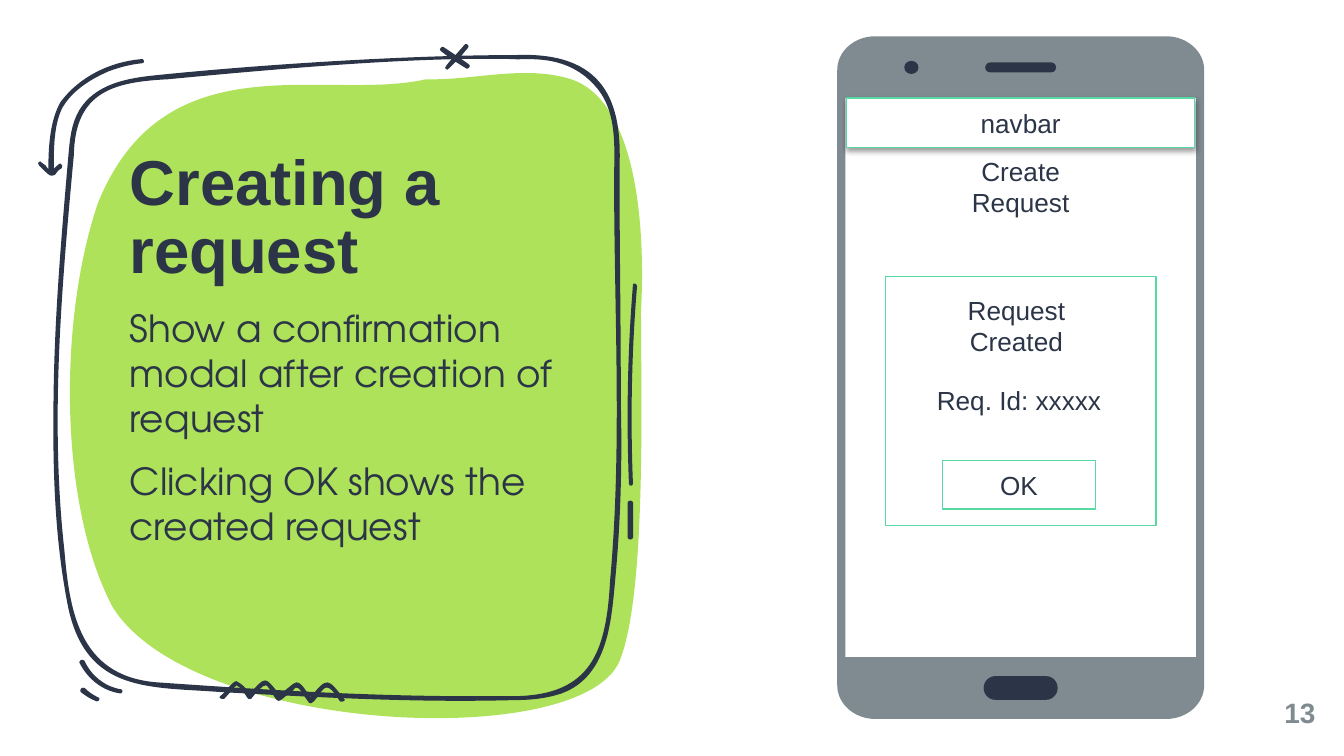
from lxml import etree
from pptx import Presentation
from pptx.dml.color import RGBColor
from pptx.enum.shapes import MSO_SHAPE as SHAPE
from pptx.enum.text import MSO_ANCHOR as ANCHOR, PP_ALIGN as ALIGN
from pptx.oxml import parse_xml
from pptx.util import Cm, Pt

INK, LIME, GREY, MINT, WHITE = "2B3547", "AEE25A", "7F8B91", "58D9A4", "FFFFFF"
NS = "http://schemas.openxmlformats.org/drawingml/2006/main"
INCH = 2.54  # outlines are given in inches
STEPS = 20   # samples per curve, for its bounds


def trace(shapes, outline, color):
    """Fill an outline: '|' parts contours, ',' parts points (2 numbers) and curves (6)."""
    contours = [[[Cm(float(n) * INCH) for n in part.split()] for part in contour.split(",")]
                for contour in outline.split("|")]
    # Points on the outline give the shape its exact bounds
    reach = []
    for contour in contours:
        for segment in contour:
            if len(segment) == 2:
                reach.append(segment)
                continue
            (x0, y0), (x1, y1, x2, y2, x3, y3) = reach[-1], segment
            for step in range(1, STEPS + 1):
                t = step / STEPS
                a, b, c, d = (1 - t) ** 3, 3 * t * (1 - t) ** 2, 3 * t * t * (1 - t), t ** 3
                reach.append([a * x0 + b * x1 + c * x2 + d * x3,
                              a * y0 + b * y1 + c * y2 + d * y3])
    builder = shapes.build_freeform(*reach[0], scale=1.0)
    builder.add_line_segments(reach[1:], close=True)
    shape = builder.convert_to_shape()
    # True curves replace the sampled points
    route = next(shape.element.iter(f"{{{NS}}}path"))
    for child in list(route):
        route.remove(child)
    for contour in contours:
        for number, segment in enumerate(contour):
            kind = "cubicBezTo" if len(segment) == 6 else "lnTo" if number else "moveTo"
            command = etree.SubElement(route, f"{{{NS}}}{kind}")
            for x, y in zip(segment[::2], segment[1::2]):
                etree.SubElement(command, f"{{{NS}}}pt",
                                 x=str(x - shape.left), y=str(y - shape.top))
        etree.SubElement(route, f"{{{NS}}}close")
    paint(shape, color)


def paint(item, color, size=None, bold=None):
    """Colour a run when a size is given, otherwise fill a shape plainly."""
    if size:
        item.font.name, item.font.size, item.font.bold = "Arial", Pt(size), bold
        item.font.color.rgb = RGBColor.from_string(color)
    else:
        item.shadow.inherit = False
        item.fill.solid()
        item.fill.fore_color.rgb = RGBColor.from_string(color)
        item.line.fill.background()


deck = Presentation()
deck.slide_width, deck.slide_height = Cm(25.4), Cm(14.29)
slide = deck.slides.add_slide(deck.slide_layouts[1])

# Green blob
trace(slide.shapes, "0.84 4.52, 1.43 5.46 4.32 5.6 4.61 4.92, 4.81 4.43 4.77 2.99 4.77 2.32,"
      "4.81 1.56 4.7 0.74 4.25 0.59, 3.9 0.48 3.53 0.6 3.17 0.59,"
      "2.43 0.76 1.23 0.28 0.73 1.51, 0.43 2.39 0.44 3.77 0.84 4.52", LIME)

# Hand-drawn frame and scribbles
frame = (
    "4.62 3, 4.62 2.41 4.61 1.82 4.61 1.24, 4.63 0.76 4.5 0.38 3.83 0.41,"
    "3.04 0.41 1.94 0.48 1.16 0.56, 0.96 0.58 0.71 0.62 0.59 0.82,"
    "0.53 0.92 0.52 1.04 0.51 1.15, 0.46 1.73 0.41 2.3 0.4 2.88,"
    "0.39 3.43 0.4 3.99 0.51 4.53, 0.65 5.16 1.12 5.11 1.64 5.15,"
    "2.37 5.19 3.1 5.23 3.83 5.21, 3.94 5.21 4.06 5.2 4.18 5.16,"
    "4.53 5.03 4.55 4.61 4.58 4.29, 4.62 3.86 4.63 3.43 4.62 3"
    "|4.54 4.32, 4.51 4.89 4.38 5.2 3.75 5.18, 2.9 5.19 2.05 5.14 1.2 5.08,"
    "0.61 5.05 0.52 4.59 0.48 4.1, 0.37 3.12 0.46 2.13 0.55 1.15,"
    "0.56 0.68 0.85 0.61 1.25 0.59, 1.98 0.52 3.08 0.42 3.82 0.44,"
    "3.9 0.45 4.2 0.39 4.42 0.63, 4.6 0.82 4.57 1.1 4.57 1.34,"
    "4.57 2.34 4.63 3.33 4.54 4.32")
long_dash = ("4.71 3.6, 4.69 3.11 4.7 2.62 4.74 2.13, 4.74 2.11 4.71 2.1 4.71 2.12,"
             "4.67 2.61 4.66 3.1 4.68 3.6, 4.68 3.62 4.71 3.62 4.71 3.6")
short_dash = "4.71 4, 4.71 3.74, 4.71 3.72 4.67 3.72 4.67 3.74, 4.67 4, 4.67 4.02 4.71 4.02 4.71 4"
corner_arc = ("0.59 4.93, 0.65 5.05 0.76 5.14 0.89 5.16, 0.91 5.17 0.92 5.13 0.9 5.13,"
              "0.78 5.11 0.68 5.03 0.63 4.92, 0.62 4.9 0.59 4.91 0.59 4.93")
curved_arrow = (
    "0.41 1.3, 0.42 1.28 0.44 1.26 0.46 1.25, 0.47 1.23 0.45 1.21 0.44 1.22,"
    "0.43 1.23 0.4 1.25 0.4 1.26, 0.4 1.11 0.4 0.94 0.46 0.81, 0.53 0.68 0.67 0.59 0.81 0.53,"
    "0.89 0.5 0.97 0.48 1.06 0.47, 1.08 0.47 1.07 0.43 1.05 0.44,"
    "0.82 0.46 0.59 0.57 0.45 0.76, 0.37 0.9 0.36 1.1 0.36 1.26,"
    "0.35 1.24 0.33 1.22 0.31 1.21, 0.3 1.19 0.27 1.21 0.29 1.23, 0.34 1.28,"
    "0.36 1.3 0.38 1.32 0.41 1.3")
cross = (
    "3.49 0.48, 3.42 0.43, 3.44 0.41 3.46 0.38 3.48 0.36, 3.5 0.34 3.47 0.32 3.46 0.33,"
    "3.39 0.41, 3.3 0.35, 3.29 0.34 3.26 0.37 3.28 0.38, 3.36 0.44, 3.32 0.49,"
    "3.3 0.51 3.33 0.53 3.34 0.51, 3.39 0.46, 3.47 0.51, 3.48 0.52 3.51 0.49 3.49 0.48")
zigzag = (
    "2.56 5.2, 2.44 5.05 2.44 5.03 2.31 5.19, 2.2 5.02 2.22 5.07 2.08 5.17,"
    "1.97 5.03 1.98 5.03 1.86 5.16, 1.83 5.12 1.8 5.09 1.76 5.07,"
    "1.74 5.06 1.67 5.16 1.64 5.18, 1.62 5.19 1.65 5.21 1.67 5.2, 1.76 5.1,"
    "1.83 5.14 1.84 5.23 1.87 5.2, 1.91 5.15, 1.94 5.13 1.97 5.07 2 5.12,"
    "2.09 5.26 2.05 5.23 2.18 5.14, 2.21 5.09 2.23 5.13 2.25 5.16, 2.3 5.23,"
    "2.33 5.26 2.39 5.13 2.42 5.12, 2.46 5.1 2.51 5.19 2.53 5.22,"
    "2.55 5.23 2.58 5.21 2.56 5.2")
corner_tick = ("0.6 5.15, 0.64 5.18 0.67 5.2 0.72 5.22, 0.74 5.22 0.75 5.19 0.73 5.19,"
               "0.69 5.17 0.66 5.15 0.63 5.12, 0.61 5.11 0.59 5.13 0.6 5.15")
for scribble in (frame, long_dash, short_dash, corner_arc, curved_arrow, cross, zigzag,
                 corner_tick):
    trace(slide.shapes, scribble, INK)

# Title, body and page number
title, body = slide.shapes.title, slide.placeholders[1]
page = slide.shapes.add_textbox(0, 0, 0, 0)
texts = [
    (title, (2.45, 2.79, 8, 2.64), ANCHOR.BOTTOM, ALIGN.LEFT, 34, True, INK,
     ["Creating a request"]),
    (body, (2.45, 5.77, 8, 5.72), ANCHOR.TOP, ALIGN.LEFT, 20, False, INK,
     ["Show a confirmation modal after creation of request",
      "Clicking OK shows the created request"]),
    (page, (23.34, 13.05, 1.52, 0.84), ANCHOR.MIDDLE, ALIGN.RIGHT, 15, True, GREY, ["13"]),
]
for holder, place, anchor, align, size, bold, color, lines in texts:
    holder.element.getparent().append(holder.element)  # in front of the blob
    holder.left, holder.top, holder.width, holder.height = map(Cm, place)
    words = holder.text_frame
    words.word_wrap, words.vertical_anchor = True, anchor
    words.margin_left = words.margin_top = words.margin_right = words.margin_bottom = 0
    for number, line in enumerate(lines):
        paragraph = words.add_paragraph() if number else words.paragraphs[0]
        paragraph.alignment = align
        run = paragraph.add_run()
        run.text = line
        paint(run, color, size, bold)
        if holder is body:
            run.font.name = "TeX Gyre Adventor"
            paragraph.space_before, paragraph.space_after = Pt(0), Pt(10)
            bullet = paragraph._p.get_or_add_pPr()
            bullet.set("marL", "0")
            bullet.set("indent", "0")
            etree.SubElement(bullet, f"{{{NS}}}buNone")
title.text_frame.paragraphs[0].line_spacing = 0.9

# Phone with an open screen
phone = slide.shapes.add_group_shape()
trace(phone.shapes, "6.51 0.27, 8.68 0.27, 8.83 0.27 8.96 0.38 8.96 0.52, 8.96 5.1,"
      "8.96 5.24 8.83 5.35 8.68 5.35, 6.51 5.35, 6.36 5.35 6.23 5.24 6.23 5.1, 6.23 0.52,"
      "6.23 0.38 6.36 0.27 6.51 0.27"
      "|6.29 0.73, 6.29 4.89, 8.9 4.89, 8.9 0.73", GREY)
for kind, place in [(SHAPE.ROUNDED_RECTANGLE, (18.59, 12.78, 1.4, 0.45)),
                    (SHAPE.OVAL, (17.09, 1.15, 0.27, 0.25)),
                    (SHAPE.ROUNDED_RECTANGLE, (18.62, 1.18, 1.34, 0.19))]:
    detail = phone.shapes.add_shape(kind, *map(Cm, place))
    if kind == SHAPE.ROUNDED_RECTANGLE:
        detail.adjustments[0] = 0.5
    paint(detail, INK)

# Wireframe on the screen
wireframe = [
    ("navbar", (16, 1.85, 6.58, 0.94), MINT, 0.75),
    ("Create Request", (17.32, 3.06, 3.94, 0.94), WHITE, 2),
    ("", (16.74, 5.23, 5.11, 4.7), MINT, 0.75),
    ("OK", (17.81, 8.71, 2.9, 0.91), MINT, 0.75),
    ("Request Created", (17.24, 5.54, 3.94, 1.24), WHITE, 2),
    ("Req. Id: xxxxx", (17.29, 6.94, 3.94, 1.24), WHITE, 2),
]
for label, place, border, weight in wireframe:
    panel = slide.shapes.add_shape(SHAPE.RECTANGLE, *map(Cm, place))
    paint(panel, WHITE)
    panel.line.color.rgb = RGBColor.from_string(border)
    panel.line.width = Pt(weight)
    if label:
        panel.text_frame.word_wrap = True
        panel.text_frame.vertical_anchor = ANCHOR.MIDDLE
        paragraph = panel.text_frame.paragraphs[0]
        paragraph.alignment = ALIGN.CENTER
        run = paragraph.add_run()
        run.text = label
        paint(run, INK, 14)
    if label == "navbar":
        effects = panel.element.spPr.find(f"{{{NS}}}effectLst")
        effects.append(parse_xml(
            f'<a:outerShdw xmlns:a="{NS}" blurRad="{Pt(3.1)}" dist="{Pt(1.6)}" dir="5400000"'
            ' rotWithShape="0"><a:srgbClr val="000000"><a:alpha val="38000"/></a:srgbClr>'
            '</a:outerShdw>'))

deck.save("out.pptx")
